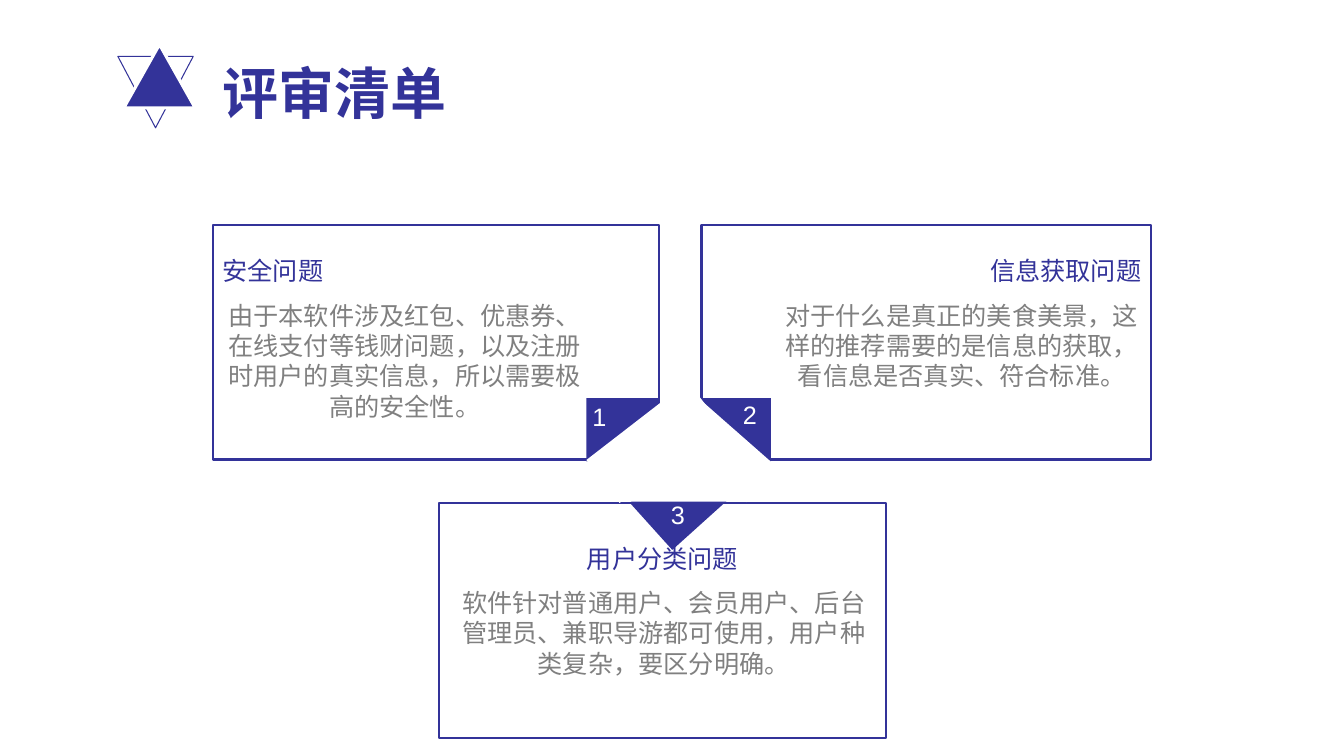
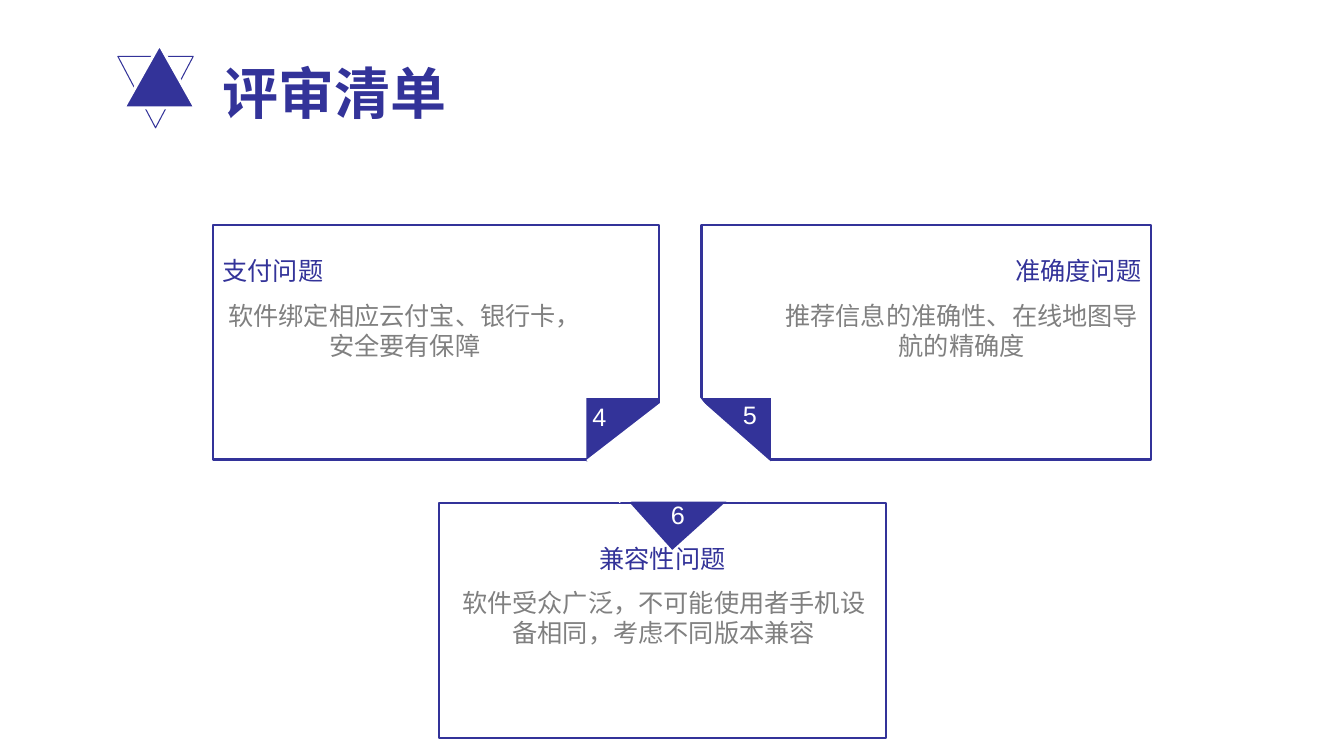
from pptx import Presentation
from pptx.dml.color import RGBColor
from pptx.enum.shapes import MSO_SHAPE as Shape
from pptx.enum.text import MSO_ANCHOR as Anchor, PP_ALIGN as Align
from pptx.util import Cm, Pt

COLORS = {"indigo": "333399", "gray": "808080", "white": "FFFFFF"}
FONT = "Arial"
TITLE = "评审清单"
TITLE_BOX = (5.36, 1.12, 22.58, 2.39)
TITLE_FORMAT = {"size": Pt(40), "bold": True}
TEXT_FORMAT = {"size": Pt(18), "bold": False}

EMBLEM = [
    {"box": (2.97, 1.42, 1.9, 1.8), "line": "indigo", "width": 0.75, "turn": 180},
    {"box": (3.12, 1.12, 1.8, 1.6), "fill": "indigo", "line": "white", "width": 2.25},
]

CARDS = [
    {
        "frame": (11.07, 12.67, 11.25, 5.92),
        "heading": (11.07, 13.56, 11.25, 1.14),
        "body": (11.1, 14.68, 11.25, 3.89),
        "fold": (16.05, 11.53, 2.79, 1.6),
        "cover": (15.77, 10.8, 3.51, 1.84),
        "number": (16.66, 12.47, 0.86, 1.02),
        "fold_turn": 318,
        "cover_turn": 0,
        "align": Align.CENTER,
    },
    {
        "frame": (17.68, 5.66, 11.33, 5.92),
        "heading": (19.56, 6.32, 9.45, 1.14),
        "body": (19.46, 7.44, 9.55, 4.11),
        "fold": (17.68, 10.03, 1.75, 1.6),
        "cover": (16.66, 10.67, 2.9, 1.17),
        "number": (18.47, 9.93, 0.86, 1.02),
        "fold_turn": 0,
        "cover_turn": 41.3,
        "align": Align.RIGHT,
    },
    {
        "frame": (5.36, 5.66, 11.25, 5.92),
        "heading": (5.36, 6.32, 9.68, 1.14),
        "body": (5.36, 7.44, 9.68, 4.11),
        "fold": (14.78, 10.03, 1.83, 1.6),
        "cover": (14.86, 10.46, 3.23, 1.37),
        "number": (14.68, 9.98, 0.86, 1.02),
        "fold_turn": 0,
        "cover_turn": 322.3,
        "align": Align.LEFT,
    },
]

SLIDES = [
    [
        ("3", "用户分类问题", "软件针对普通用户、会员用户、后台管理员、兼职导游都可使用，用户种类复杂，要区分明确。"),
        ("2", "信息获取问题", "对于什么是真正的美食美景，这样的推荐需要的是信息的获取，看信息是否真实、符合标准。"),
        ("1", "安全问题", "由于本软件涉及红包、优惠券、在线支付等钱财问题，以及注册时用户的真实信息，所以需要极高的安全性。"),
    ],
    [
        ("6", "兼容性问题", "软件受众广泛，不可能使用者手机设备相同，考虑不同版本兼容"),
        ("5", "准确度问题", "推荐信息的准确性、在线地图导航的精确度"),
        ("4", "支付问题", "软件绑定相应云付宝、银行卡，安全要有保障"),
    ],
]


def add_block(slide, kind, box, fill=None, line=None, width=1.5, turn=0):
    block = slide.shapes.add_shape(kind, *map(Cm, box))
    block.shadow.inherit = False
    block.rotation = turn
    if fill:
        block.fill.solid()
        block.fill.fore_color.rgb = RGBColor.from_string(COLORS[fill])
    else:
        block.fill.background()
    if line:
        block.line.color.rgb = RGBColor.from_string(COLORS[line])
        block.line.width = Pt(width)
    else:
        block.line.fill.background()


def add_text(slide, box, text, color, align=Align.LEFT, anchor=Anchor.TOP, style=TEXT_FORMAT):
    frame = slide.shapes.add_textbox(*map(Cm, box)).text_frame
    frame.word_wrap = True
    frame.vertical_anchor = anchor
    paragraph = frame.paragraphs[0]
    paragraph.alignment = align
    run = paragraph.add_run()
    run.text = text
    run.font.name = FONT
    run.font.color.rgb = RGBColor.from_string(COLORS[color])
    for attribute, value in style.items():
        setattr(run.font, attribute, value)


deck = Presentation()
deck.slide_width = Cm(33.87)
deck.slide_height = Cm(19.05)

for issues in SLIDES:
    slide = deck.slides.add_slide(deck.slide_layouts[6])
    for triangle in EMBLEM:
        add_block(slide, Shape.ISOSCELES_TRIANGLE, **triangle)
    add_text(slide, TITLE_BOX, TITLE, "indigo", anchor=Anchor.MIDDLE, style=TITLE_FORMAT)

    for card, (number, heading, body) in zip(CARDS, issues):
        add_block(slide, Shape.RECTANGLE, card["fold"], fill="indigo", turn=card["fold_turn"])
        add_block(slide, Shape.RECTANGLE, card["frame"], line="indigo")
        add_block(slide, Shape.RECTANGLE, card["cover"], fill="white", turn=card["cover_turn"])
        add_text(slide, card["body"], body, "gray", Align.CENTER)
        add_text(slide, card["heading"], heading, "indigo", card["align"])
        add_text(slide, card["number"], number, "white")

deck.save("out.pptx")
